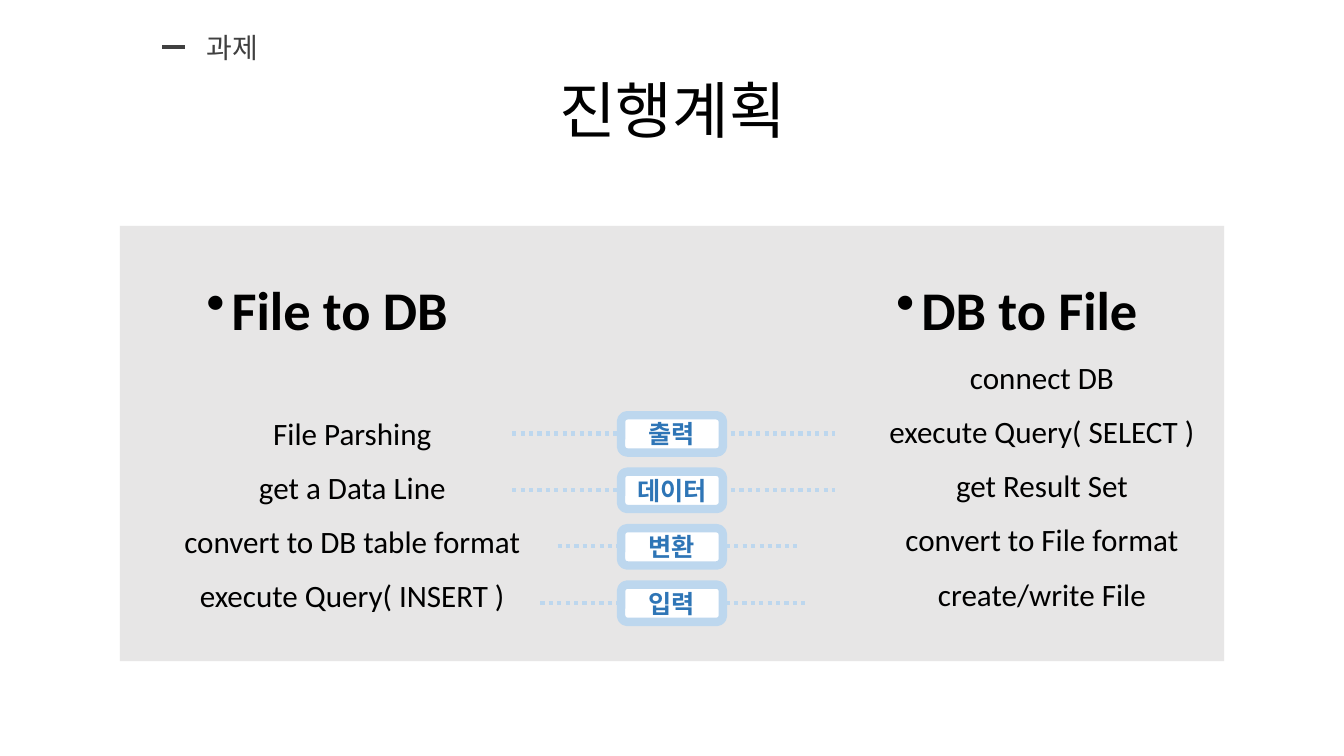
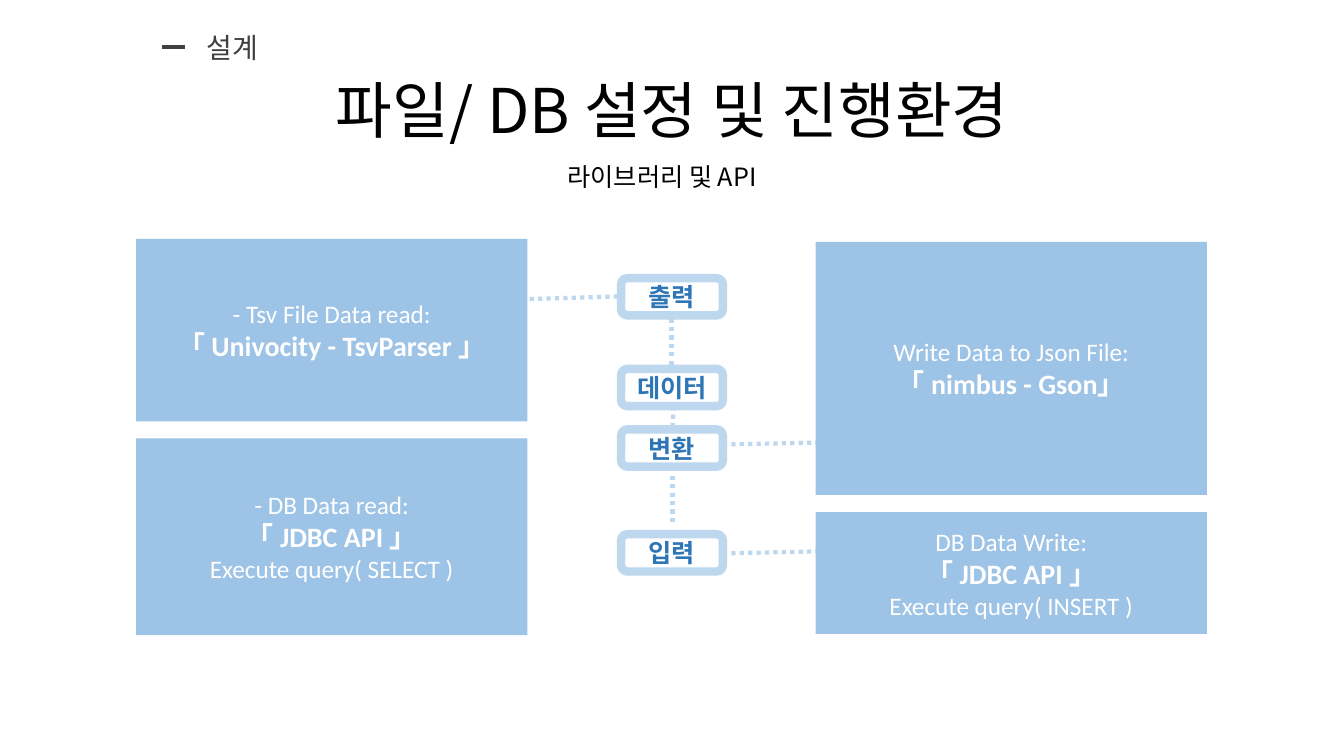
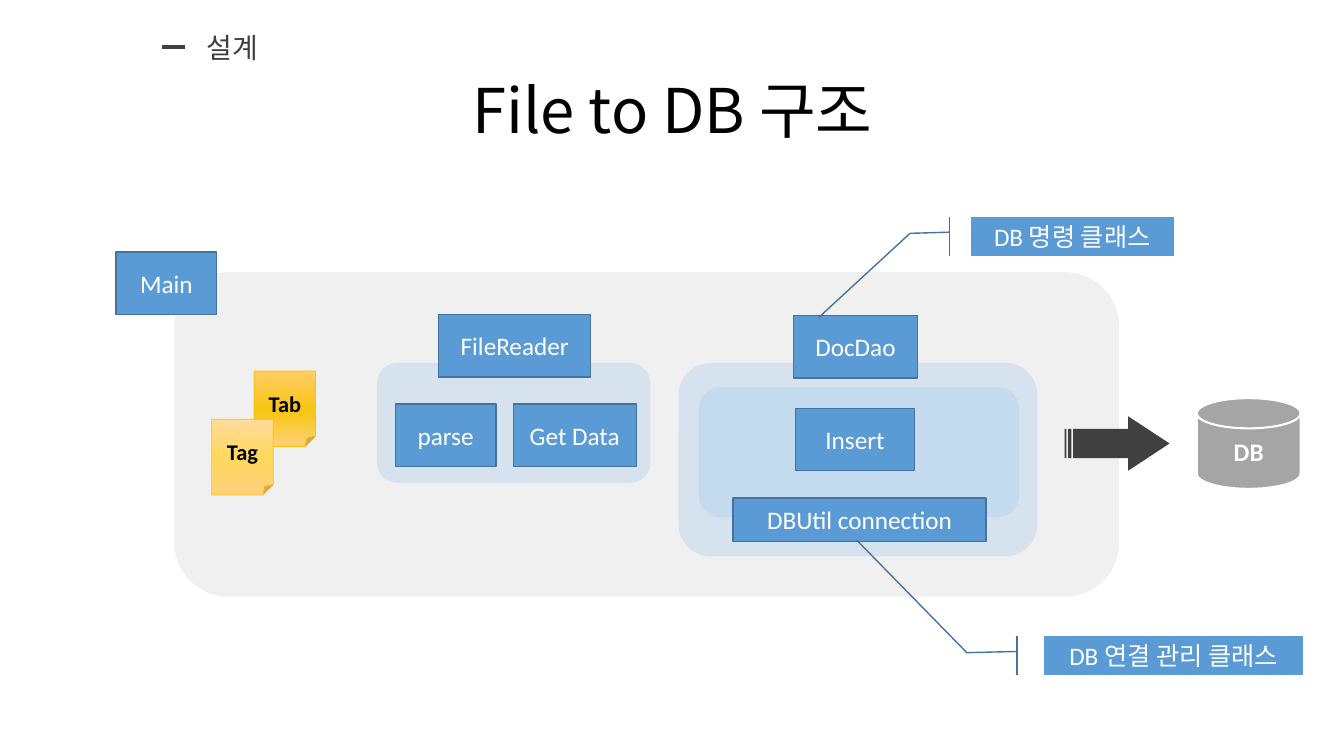
from copy import deepcopy
from dataclasses import dataclass

from lxml.etree import SubElement
from pptx import Presentation
from pptx.dml.color import RGBColor
from pptx.enum.dml import MSO_LINE
from pptx.enum.shapes import MSO_CONNECTOR, MSO_SHAPE
from pptx.enum.text import MSO_ANCHOR, PP_ALIGN
from pptx.oxml.ns import qn
from pptx.util import Inches, Pt


@dataclass(frozen=True)
class Theme:
    """Colours, fonts and type sizes shared by all slides."""
    latin: str = "Calibri"
    korean: str = "Noto Sans CJK KR"
    white: str = "FFFFFF"
    black: str = "000000"
    dark: str = "404040"
    panel: str = "E7E6E6"
    frame: str = "D0CECE"
    pale: str = "BDD7EE"
    light: str = "9DC3E6"
    blue: str = "5B9BD5"
    edge: str = "43739E"
    strong: str = "2E75B6"
    disk: str = "A5A5A5"
    gold: str = "FFC000"
    title: float = 44
    heading: float = 38.9
    item: float = 22.2
    section: float = 20
    name: float = 20
    text: float = 18
    note: float = 16


@dataclass(frozen=True)
class Box:
    """A rectangle in inches."""
    left: float
    top: float
    width: float
    height: float

    def within(self, left, top, width, height):
        """Return a box placed relative to this one."""
        return Box(self.left + left, self.top + top, width, height)

    def lengths(self):
        """Return position and size as lengths."""
        return [Inches(value) for value in (self.left, self.top, self.width, self.height)]


THEME = Theme()
PAGE = Box(0, 0, 13.33, 7.5)
STEPS = ("출력", "데이터", "변환", "입력")


def rgb(colour):
    """Turn a hex string into a colour."""
    return RGBColor.from_string(colour)


def add_run(paragraph, text, size, colour, bold=False, font=THEME.latin):
    """Add one styled run."""
    run = paragraph.add_run()
    run.text = text
    run.font.size = Pt(size)
    run.font.bold = bold
    run.font.color.rgb = rgb(colour)
    run.font.name = font
    SubElement(run._r.get_or_add_rPr(), qn("a:ea")).set("typeface", THEME.korean)


def add_text_box(slide, box, anchor=MSO_ANCHOR.TOP):
    """Add a wrapping text box and return its text frame."""
    frame = slide.shapes.add_textbox(*box.lengths()).text_frame
    frame.word_wrap = True
    frame.vertical_anchor = anchor
    return frame


def add_block(slide, box, kind, fill, line=None, weight=1, opacity=None, adjustments=()):
    """Add a flat shape with an optional outline and opacity."""
    shape = slide.shapes.add_shape(kind, *box.lengths())
    shape.shadow.inherit = False
    shape.fill.solid()
    shape.fill.fore_color.rgb = rgb(fill)
    if opacity:
        colour = shape._element.spPr.find(qn("a:solidFill"))[0]
        SubElement(colour, qn("a:alpha")).set("val", str(opacity * 1000))
    if line:
        shape.line.color.rgb = rgb(line)
        shape.line.width = Pt(weight)
    else:
        shape.line.fill.background()
    for index, value in enumerate(adjustments):
        shape.adjustments[index] = value
    return shape


def write_lines(shape, lines, colour):
    """Write centred lines given as text, size and bold."""
    frame = shape.text_frame
    frame.word_wrap = True
    frame.vertical_anchor = MSO_ANCHOR.MIDDLE
    for index, (text, size, bold) in enumerate(lines):
        paragraph = frame.paragraphs[0] if index == 0 else frame.add_paragraph()
        paragraph.alignment = PP_ALIGN.CENTER
        add_run(paragraph, text, size, colour, bold)


def add_line(slide, start, end, colour, dash=None):
    """Add a straight line between two points."""
    points = [Inches(value) for value in (*start, *end)]
    connector = slide.shapes.add_connector(MSO_CONNECTOR.STRAIGHT, *points)
    connector.line.color.rgb = rgb(colour)
    connector.line.width = Pt(3)
    if dash:
        connector.line.dash_style = dash
    SubElement(connector._element.spPr, qn("a:effectLst"))


def add_dots(slide, start, end):
    """Add a pale dotted line."""
    add_line(slide, start, end, THEME.pale, MSO_LINE.ROUND_DOT)


def add_header(slide, box, section, title):
    """Add the section mark and the centred title."""
    left, top = box.left, box.top
    frame = add_text_box(slide, box.within(0.92, 0.4, 11.5, 1.45), MSO_ANCHOR.MIDDLE)
    paragraph = frame.paragraphs[0]
    paragraph.alignment = PP_ALIGN.CENTER
    paragraph.line_spacing = 0.9
    add_run(paragraph, title, THEME.title, THEME.black, font=THEME.korean)
    frame = add_text_box(slide, box.within(1.95, 0.25, 0.77, 0.44))
    add_run(frame.paragraphs[0], section, THEME.section, THEME.dark, font=THEME.korean)
    add_line(slide, (left + 1.61, top + 0.47), (left + 1.84, top + 0.47), THEME.dark)


def add_step(slide, box, label):
    """Add one step badge."""
    shape = add_block(slide, box, MSO_SHAPE.FLOWCHART_ALTERNATE_PROCESS,
                      THEME.white, THEME.pale, 6)
    write_lines(shape, [(label, THEME.text, True)], THEME.strong)


def add_outline(slide, box, heading, items, first_gap=4):
    """Add a bulleted heading with centred items below."""
    frame = add_text_box(slide, box)
    rows = [(heading, THEME.heading, True, 10, 0.25, -0.25)]
    rows += [(item, THEME.item, False, 4 if index else first_gap, 0.5, 0)
             for index, item in enumerate(items)]
    for index, (text, size, bold, gap, margin, indent) in enumerate(rows):
        paragraph = frame.add_paragraph() if index else frame.paragraphs[0]
        paragraph.alignment = PP_ALIGN.CENTER
        paragraph.line_spacing = 1.3
        paragraph.space_before = Pt(gap)
        properties = paragraph._p.get_or_add_pPr()
        properties.set("marL", str(Inches(margin)))
        properties.set("indent", str(Inches(indent)))
        if bold:
            SubElement(properties, qn("a:buChar")).set("char", "•")
        add_run(paragraph, text, size, THEME.black, bold)


def add_plan(slide, box):
    """Compare the two directions step by step."""
    add_block(slide, box, MSO_SHAPE.RECTANGLE, THEME.panel)
    pitch = 0.56
    spans = ((3.89, 7.09), (3.89, 7.09), (4.34, 6.76), (4.17, 6.84))
    for index, (start, end) in enumerate(spans):
        level = box.top + 2.06 + index * pitch
        add_dots(slide, (box.left + start, level), (box.left + end, level))
    add_outline(slide, box.within(-0.78, 0.26, 5.67, 3.78), "File to DB", (
        "File Parshing", "get a Data Line", "convert to DB table format",
        "execute Query( INSERT )"), 43.6)
    add_outline(slide, box.within(6.06, 0.26, 5.67, 3.78), "DB to File", (
        "connect DB", "execute Query( SELECT )", "get Result Set",
        "convert to File format", "create/write File"))
    for index, label in enumerate(STEPS):
        add_step(slide, box.within(4.97, 1.88 + index * pitch, 1.01, 0.37), label)


def add_environment(slide, box):
    """Link the libraries to the steps that use them."""
    for label, top in zip(STEPS, (0.39, 1.29, 1.89, 2.93)):
        add_step(slide, box.within(4.81, top, 1.01, 0.37), label)
    links = (
        (3.82, 0.6, 4.81, 0.57), (5.82, 3.12, 6.81, 3.1), (5.82, 2.04, 6.81, 2.02),
        (5.31, 0.79, 5.31, 1.29), (5.32, 2.35, 5.32, 2.85), (5.33, 1.66, 5.32, 1.91),
    )
    for x1, y1, x2, y2 in links:
        add_dots(slide, (box.left + x1, box.top + y1), (box.left + x2, box.top + y2))
    cards = (
        (0, 0, 1.81, "- Tsv File Data read:", "「 Univocity - TsvParser 」", None),
        (0, 1.98, 1.95, "- DB Data read:", "「 JDBC API 」", "Execute query( SELECT )"),
        (6.74, 0.03, 2.51, "Write Data to Json File:", "「 nimbus - Gson」", None),
        (6.74, 2.71, 1.21, "DB Data Write:", "「 JDBC API 」", "Execute query( INSERT )"),
    )
    for left, top, height, task, library, query in cards:
        shape = add_block(slide, box.within(left, top, 3.88, height),
                          MSO_SHAPE.RECTANGLE, THEME.light)
        lines = [(task, THEME.text, False), (library, THEME.name, True)]
        if query:
            lines.append((query, THEME.text, False))
        write_lines(shape, lines, THEME.white)


def add_note(slide, box, label, stops):
    """Add a folded note with a three-stop gradient."""
    shape = add_block(slide, box, MSO_SHAPE.FOLDED_CORNER, THEME.gold, THEME.gold, 0.5)
    shape.fill.gradient()
    shape.fill.gradient_angle = 270
    stop_list = shape._element.spPr.find(".//" + qn("a:gsLst"))
    stop_list.insert(1, deepcopy(stop_list[0]))
    for stop, (position, colour) in zip(shape.fill.gradient_stops, stops):
        stop.position = position
        stop.color.rgb = rgb(colour)
    write_lines(shape, [(label, THEME.note, True)], THEME.black)


def add_structure(slide, box):
    """Draw the program blocks, the notes and the target database."""
    regions = (
        (0, 0, 9.37, 3.22, THEME.frame, 30),
        (5.2, 1.14, 3.18, 1.29, THEME.pale, 70),
        (5, 0.9, 3.56, 1.92, THEME.pale, 50),
        (2.01, 0.9, 2.71, 1.19, THEME.pale, 50),
    )
    for *place, colour, opacity in regions:
        add_block(slide, box.within(*place), MSO_SHAPE.ROUNDED_RECTANGLE,
                  colour, opacity=opacity)
    disk = add_block(slide, box.within(10.14, 1.25, 1.03, 0.9),
                     MSO_SHAPE.FLOWCHART_MAGNETIC_DISK, THEME.disk, THEME.white, 1.5)
    write_lines(disk, [("DB", THEME.text, True)], THEME.white)
    add_note(slide, box.within(0.79, 0.98, 0.61, 0.75), "Tab",
             ((0, "FFCC65"), (0.53, "F8C610"), (1, "FFD07C")))
    add_note(slide, box.within(0.37, 1.46, 0.61, 0.75), "Tag",
             ((0, "FFDB9E"), (0.5, "FFD85D"), (1, "FFD07C")))
    rectangle, callout = MSO_SHAPE.RECTANGLE, MSO_SHAPE.LINE_CALLOUT_2_ACCENT_BAR
    leader = (0.393, -0.106, 0.423, -0.301)
    labels = (
        ("FileReader", 2.62, 0.42, 1.51, 0.62, rectangle, ()),
        ("DocDao", 6.14, 0.43, 1.23, 0.62, rectangle, ()),
        ("Insert", 6.16, 1.35, 1.18, 0.62, rectangle, ()),
        ("DBUtil connection", 5.54, 2.24, 2.51, 0.43, rectangle, ()),
        ("parse", 2.19, 1.31, 1, 0.62, rectangle, ()),
        ("Get Data", 3.36, 1.31, 1.22, 0.62, rectangle, ()),
        ("Main", -0.58, -0.2, 1, 0.62, rectangle, ()),
        ("DB 명령 클래스", 7.9, -0.55, 2.01, 0.39, callout, (*leader, 2.566, -0.752)),
        ("DB 연결 관리 클래스", 8.63, 3.61, 2.56, 0.39, callout, (*leader, -2.434, -0.727)),
    )
    for label, left, top, width, height, kind, adjustments in labels:
        shape = add_block(slide, box.within(left, top, width, height), kind,
                          THEME.blue, THEME.edge, adjustments=adjustments)
        write_lines(shape, [(label, THEME.text, False)], THEME.white)
    add_block(slide, box.within(8.83, 1.43, 1.04, 0.54), MSO_SHAPE.STRIPED_RIGHT_ARROW,
              THEME.dark, adjustments=(0.54, 0.76))


def add_subtitle(slide, box, text):
    """Add a line of text under the title."""
    frame = add_text_box(slide, box)
    add_run(frame.paragraphs[0], text, THEME.text, THEME.black, font=THEME.korean)


def main():
    """Build and save the presentation."""
    presentation = Presentation()
    presentation.slide_width = Inches(PAGE.width)
    presentation.slide_height = Inches(PAGE.height)
    contents = (
        ("과제", "진행계획", add_plan, Box(1.19, 2.24, 10.95, 4.32)),
        ("설계", "파일/ DB 설정 및 진행환경", add_environment, Box(1.35, 2.37, 10.62, 3.93)),
        ("설계", "File to DB 구조", add_structure, Box(1.73, 2.7, 9.37, 3.22)),
    )
    for section, title, add_content, box in contents:
        slide = presentation.slides.add_slide(presentation.slide_layouts[6])
        add_content(slide, box)
        add_header(slide, PAGE, section, title)
        if add_content is add_environment:
            add_subtitle(slide, PAGE.within(5.53, 1.55, 2.26, 0.4), "라이브러리 및 API")
    presentation.save("out.pptx")


main()
